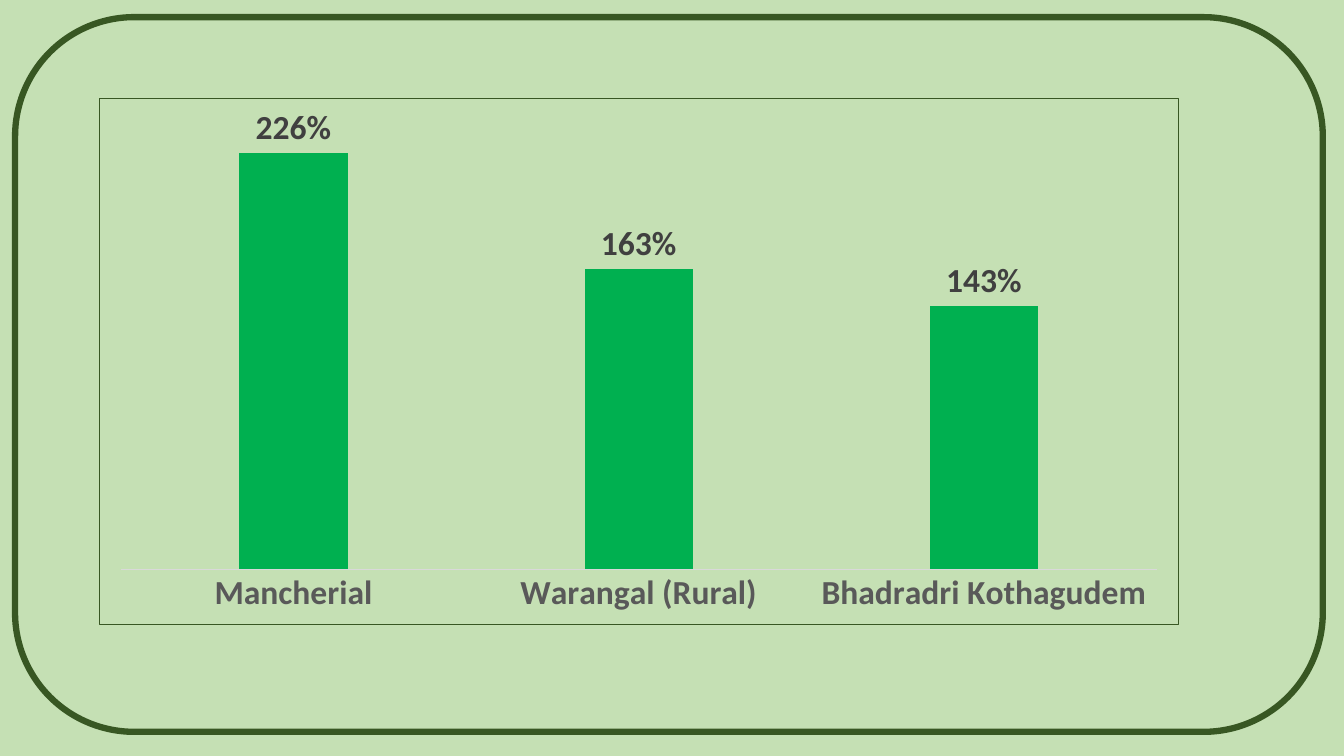
import pptx
import pptx.util
import pptx.chart.data
import pptx.dml.color
import pptx.enum.chart
import pptx.enum.shapes
import pptx.oxml
import pptx.oxml.ns

RGB = pptx.dml.color.RGBColor
PALE = RGB(0xC5, 0xE0, 0xB4)
DARK = RGB(0x38, 0x57, 0x23)
GREEN = RGB(0x00, 0xB0, 0x50)
BLACK = RGB(0x00, 0x00, 0x00)
TEXT = RGB(0x59, 0x59, 0x59)
LABEL = RGB(0x40, 0x40, 0x40)
RULE = RGB(0xD9, 0xD9, 0xD9)

WIDE, HIGH = 13.33, 7.5
FRAME = (0.15, 0.17, 12.97, 7.09)
PLOT = (0.98, 0.97, 10.71, 5.23)
RATES = {
    "Mancherial": 2.26,
    "Warangal (Rural)": 1.63,
    "Bhadradri Kothagudem ": 1.43,
}


def inches(box):
    return [pptx.util.Inches(side) for side in box]


def style(font, size, color, bold):
    font.name = "Calibri"
    font.size = pptx.util.Pt(size)
    font.color.rgb = color
    font.bold = bold


def outline(line, color, width):
    line.color.rgb = color
    line.width = pptx.util.Pt(width)


def add_frame(slide):
    kind = pptx.enum.shapes.MSO_SHAPE.ROUNDED_RECTANGLE
    frame = slide.shapes.add_shape(kind, *inches(FRAME))
    frame.shadow.inherit = False
    frame.fill.background()
    outline(frame.line, DARK, 4.5)


def add_border(chart):
    names = pptx.oxml.ns.nsdecls("c", "a")
    width = pptx.util.Pt(0.75)
    border = pptx.oxml.parse_xml(
        f'<c:spPr {names}><a:noFill/><a:ln w="{width}"><a:solidFill>'
        f'<a:srgbClr val="{DARK}"/></a:solidFill></a:ln></c:spPr>'
    )
    chart.element.find(pptx.oxml.ns.qn("c:chart")).addnext(border)


def add_bars(slide):
    enum = pptx.enum.chart
    data = pptx.chart.data.CategoryChartData(number_format="0%")
    data.categories = list(RATES)
    data.add_series("Series 1", list(RATES.values()))
    kind = enum.XL_CHART_TYPE.COLUMN_CLUSTERED
    chart = slide.shapes.add_chart(kind, *inches(PLOT), data).chart
    chart.has_title = False
    chart.has_legend = False
    style(chart.font, 10, BLACK, False)
    add_border(chart)

    base = chart.category_axis
    base.major_tick_mark = enum.XL_TICK_MARK.NONE
    outline(base.format.line, RULE, 0.75)
    style(base.tick_labels.font, 24, TEXT, True)
    scale = chart.value_axis
    scale.visible = False
    scale.has_major_gridlines = False
    scale.minimum_scale, scale.maximum_scale = 0, 2.5
    scale.tick_labels.number_format = "0%"
    scale.tick_labels.number_format_is_linked = False

    plot = chart.plots[0]
    plot.gap_width, plot.overlap = 219, -27
    plot.vary_by_categories = False
    bars = plot.series[0]
    bars.format.fill.solid()
    bars.format.fill.fore_color.rgb = GREEN
    labels = bars.data_labels
    labels.show_value = True
    labels.position = enum.XL_LABEL_POSITION.OUTSIDE_END
    labels.number_format = "0%"
    labels.number_format_is_linked = False
    style(labels.font, 24, LABEL, True)


def main():
    deck = pptx.Presentation()
    deck.slide_width, deck.slide_height = inches((WIDE, HIGH))
    slide = deck.slides.add_slide(deck.slide_layouts[6])
    slide.background.fill.solid()
    slide.background.fill.fore_color.rgb = PALE
    add_frame(slide)
    add_bars(slide)
    deck.save("out.pptx")


if __name__ == "__main__":
    main()
